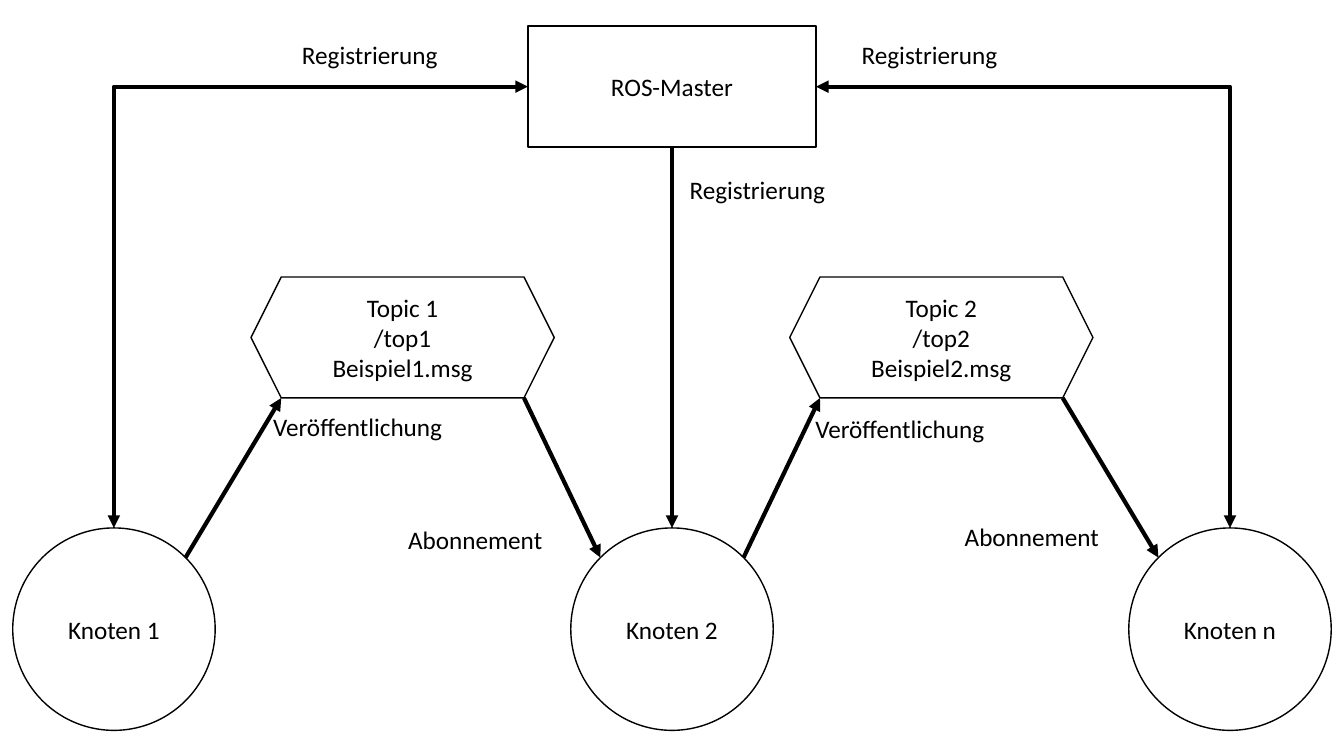
from math import sqrt
from pptx import Presentation
from pptx.dml.color import RGBColor
from pptx.enum.shapes import MSO_CONNECTOR as LINK, MSO_SHAPE as SHAPE
from pptx.enum.text import MSO_ANCHOR as ANCHOR, MSO_AUTO_SIZE as FIT, PP_ALIGN as ALIGN
from pptx.oxml.ns import qn
from pptx.oxml.xmlchemy import OxmlElement
from pptx.util import Pt

BLACK, WHITE = "000000", "FFFFFF"


def paint(color_format, color):
    color_format.rgb = RGBColor.from_string(color)


def write(box, lines, align, **frame_format):
    frame = box.text_frame
    for name, value in {"word_wrap": True, **frame_format}.items():
        setattr(frame, name, value)
    frame.text = "\n".join(lines)
    for para in frame.paragraphs:
        para.alignment = align
        for span in para.runs:
            for name, value in {"name": "Calibri", "size": Pt(18)}.items():
                setattr(span.font, name, value)
            paint(span.font.color, BLACK)


deck = Presentation()
deck.slide_width, deck.slide_height = Pt(960), Pt(540)
page = deck.slides.add_slide(deck.slide_layouts[6])

# Layout of master, nodes and topics around the slide's centre
center = 480
master_top, master_width, box_height = 18.7, 205.8, 86.4
master_middle = master_top + box_height / 2
master_bottom = master_top + box_height
node_top, radius = 377.1, 72.3
node_centers = [center + step * 398.6 for step in (-1, 0, 1)]
topic_top, topic_width = 197.9, 216.6
topic_bottom = topic_top + box_height
topic_centers = [center - 192.4, center + 192.4]

# Master, nodes and topics
shapes = [(SHAPE.RECTANGLE, center, master_top, master_width, box_height, ["ROS-Master"])]
for middle, number in zip(node_centers, "12n"):
    shapes.append((SHAPE.FLOWCHART_CONNECTOR, middle, node_top,
                   2 * radius, 2 * radius, [f"Knoten {number}"]))
for middle, number in zip(topic_centers, "12"):
    shapes.append((SHAPE.HEXAGON, middle, topic_top, topic_width, box_height,
                   [f"Topic {number}", f"/top{number}", f"Beispiel{number}.msg"]))
for kind, middle, top, width, height, lines in shapes:
    box = page.shapes.add_shape(kind, Pt(middle - width / 2), Pt(top), Pt(width), Pt(height))
    box.shadow.inherit = False
    box.fill.solid()
    paint(box.fill.fore_color, WHITE)
    paint(box.line.color, BLACK)
    box.line.width = Pt(1)
    write(box, lines, ALIGN.CENTER, vertical_anchor=ANCHOR.MIDDLE)

# Arrows: registration, then publication and subscription per topic
arrows = [(LINK.STRAIGHT, center, master_bottom, center, node_top)]
for side, middle in ((-1, node_centers[0]), (1, node_centers[2])):
    arrows.append((LINK.ELBOW, center + side * master_width / 2, master_middle, middle, node_top))
diagonal = radius / sqrt(2)
rim_y = node_top + radius - diagonal
corner = topic_width / 2 - box_height / 4
for index, middle in enumerate(topic_centers):
    publisher, subscriber = node_centers[index:index + 2]
    arrows += [(LINK.STRAIGHT, publisher + diagonal, rim_y, middle - corner, topic_bottom),
               (LINK.STRAIGHT, middle + corner, topic_bottom, subscriber - diagonal, rim_y)]
for kind, *ends in arrows:
    arrow = page.shapes.add_connector(kind, *map(Pt, ends))
    paint(arrow.line.color, BLACK)
    arrow.line.width = Pt(3)
    properties = arrow._element.spPr
    heads = ["a:tailEnd"]
    if kind == LINK.ELBOW:
        properties.find(qn("a:prstGeom")).set("prst", "bentConnector2")
        heads.insert(0, "a:headEnd")
    for tag in heads:
        head = OxmlElement(tag)
        head.set("type", "triangle")
        properties.find(qn("a:ln")).append(head)
    properties.append(OxmlElement("a:effectLst"))

# Arrow labels
labels = [
    ("Registrierung", 208.6, 24.5, 145),
    ("Registrierung", 608.4, 24.5, 145),
    ("Registrierung", 485.5, 121, 145),
    ("Veröffentlichung", 188, 290.2, 180),
    ("Veröffentlichung", 575.3, 291.6, 180),
    ("Abonnement", 284.4, 370.8, 145),
    ("Abonnement", 682, 368.6, 145),
]
for text, left, top, width in labels:
    label = page.shapes.add_textbox(Pt(left), Pt(top), Pt(width), Pt(36.7))
    write(label, [text], ALIGN.LEFT, auto_size=FIT.SHAPE_TO_FIT_TEXT)

deck.save("out.pptx")
